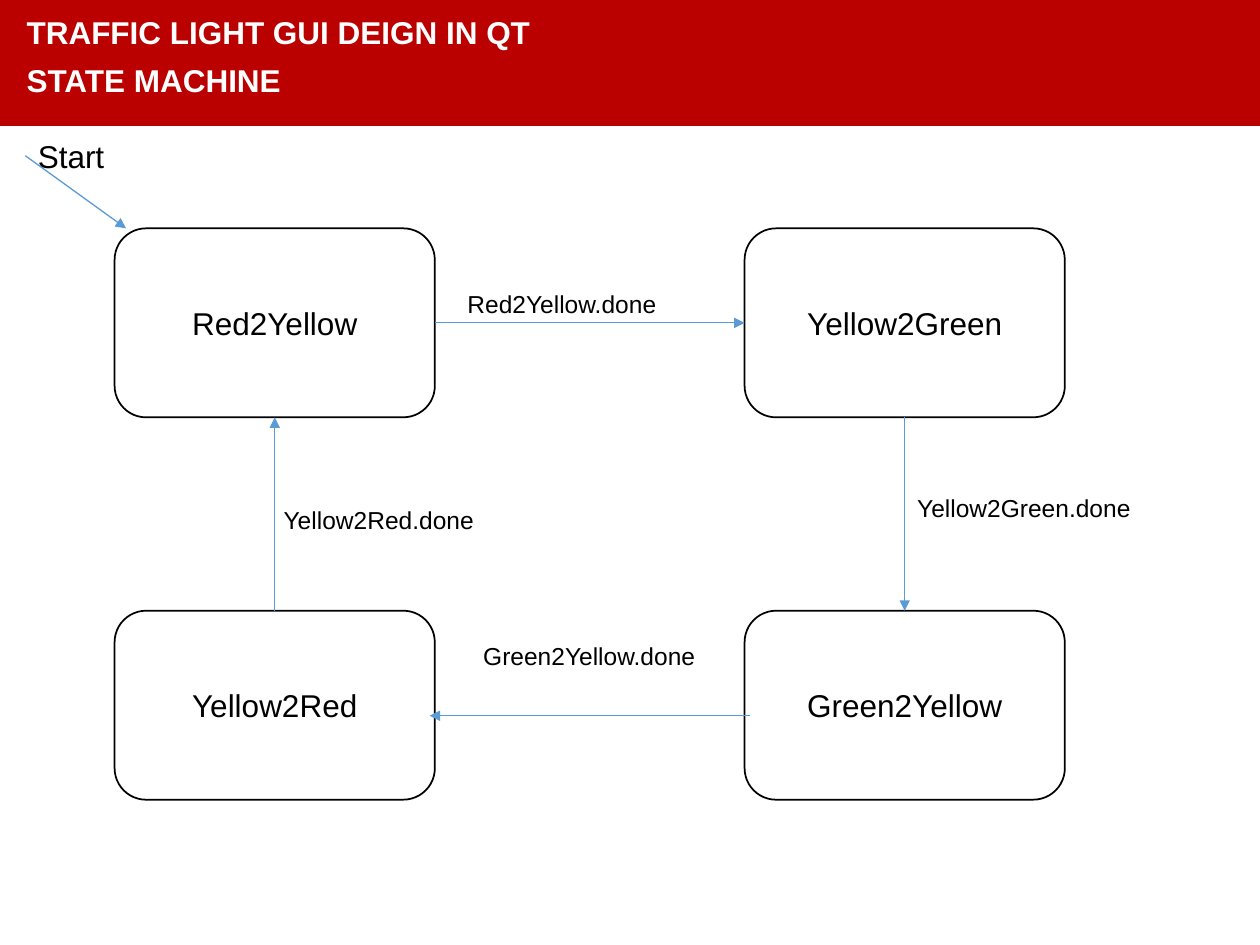
import pptx
import pptx.util
import pptx.dml.color
import pptx.enum.shapes
import pptx.enum.text
import lxml.etree

Pt = pptx.util.Pt
RED = pptx.dml.color.RGBColor(0xBB, 0x00, 0x00)
WHITE = pptx.dml.color.RGBColor(0xFF, 0xFF, 0xFF)
BLACK = pptx.dml.color.RGBColor(0x00, 0x00, 0x00)
BLUE = pptx.dml.color.RGBColor(0x5B, 0x9B, 0xD5)
SHAPES = pptx.enum.shapes.MSO_SHAPE
ANCHORS = pptx.enum.text.MSO_ANCHOR
ALIGNMENTS = pptx.enum.text.PP_ALIGN


def add_text(para, text, size, color, bold=False):
    span = para.add_run()
    span.text = text
    span.font.name = "Arial"
    span.font.size = Pt(size)
    span.font.bold = bold
    span.font.color.rgb = color


deck = pptx.Presentation()
deck.slide_width, deck.slide_height = Pt(720), Pt(540)
page = deck.slides.add_slide(deck.slide_layouts[5])

banner = page.shapes.add_shape(SHAPES.RECTANGLE, 0, 0, deck.slide_width, Pt(72))
banner.shadow.inherit = False
banner.fill.solid()
banner.fill.fore_color.rgb = RED
banner.line.fill.background()

title = page.shapes.title
title.element.addprevious(banner.element)
title.left, title.top, title.width, title.height = Pt(8), Pt(8), Pt(417), Pt(52.5)
title.text_frame.word_wrap = True
title.text_frame.auto_size = pptx.enum.text.MSO_AUTO_SIZE.NONE
title.text_frame.vertical_anchor = ANCHORS.TOP
second_line = title.text_frame.add_paragraph()
second_line.space_before = Pt(10)
title_lines = ["TRAFFIC LIGHT GUI DEIGN IN QT", "STATE MACHINE"]
for para, text in zip(title.text_frame.paragraphs, title_lines):
    para.alignment = ALIGNMENTS.LEFT
    para.line_spacing = 0.8
    add_text(para, text, 18, WHITE, bold=True)

left, right = 65.5, 425.5
top, bottom = 130.5, 349
state_width, state_height = 183, 108
states = [
    ("Red2Yellow", left, top),
    ("Yellow2Green", right, top),
    ("Yellow2Red", left, bottom),
    ("Green2Yellow", right, bottom),
]
for name, x, y in states:
    state = page.shapes.add_shape(
        SHAPES.ROUNDED_RECTANGLE, Pt(x), Pt(y), Pt(state_width), Pt(state_height))
    state.shadow.inherit = False
    state.fill.solid()
    state.fill.fore_color.rgb = WHITE
    state.line.color.rgb = BLACK
    state.line.width = Pt(1)
    state.text_frame.vertical_anchor = ANCHORS.MIDDLE
    para = state.text_frame.paragraphs[0]
    para.alignment = ALIGNMENTS.CENTER
    add_text(para, name, 18, BLACK)

left_middle = left + state_width / 2
right_middle = right + state_width / 2
top_middle = top + state_height / 2
arrows = [
    (left + state_width, top_middle, right, top_middle),
    (right + 3, 409, left + state_width - 3, 409),
    (right_middle, top + state_height, right_middle, bottom),
    (left_middle, bottom, left_middle, top + state_height),
    (14.5, 89, 72, top),
]
for ends in arrows:
    arrow = page.shapes.add_connector(
        pptx.enum.shapes.MSO_CONNECTOR.STRAIGHT, *[Pt(end) for end in ends])
    arrow.line.color.rgb = BLUE
    arrow.line.width = Pt(0.75)
    head = lxml.etree.SubElement(
        arrow.line._get_or_add_ln(), pptx.oxml.ns.qn("a:tailEnd"))
    head.set("type", "triangle")
    lxml.etree.SubElement(arrow.element.spPr, pptx.oxml.ns.qn("a:effectLst"))

labels = [
    ("Start", 14.5, 75, 65, 29, 18),
    ("Red2Yellow.done", 260, 161.5, 182, 46, 14),
    ("Green2Yellow.done", 269, 363, 182, 46, 14),
    ("Yellow2Red.done", 155, 285, 182, 46, 14),
    ("Yellow2Green.done", 517, 278, 182, 46, 14),
]
for text, x, y, width, height, size in labels:
    box = page.shapes.add_textbox(Pt(x), Pt(y), Pt(width), Pt(height))
    box.text_frame.word_wrap = True
    add_text(box.text_frame.paragraphs[0], text, size, BLACK)

deck.save("out.pptx")
